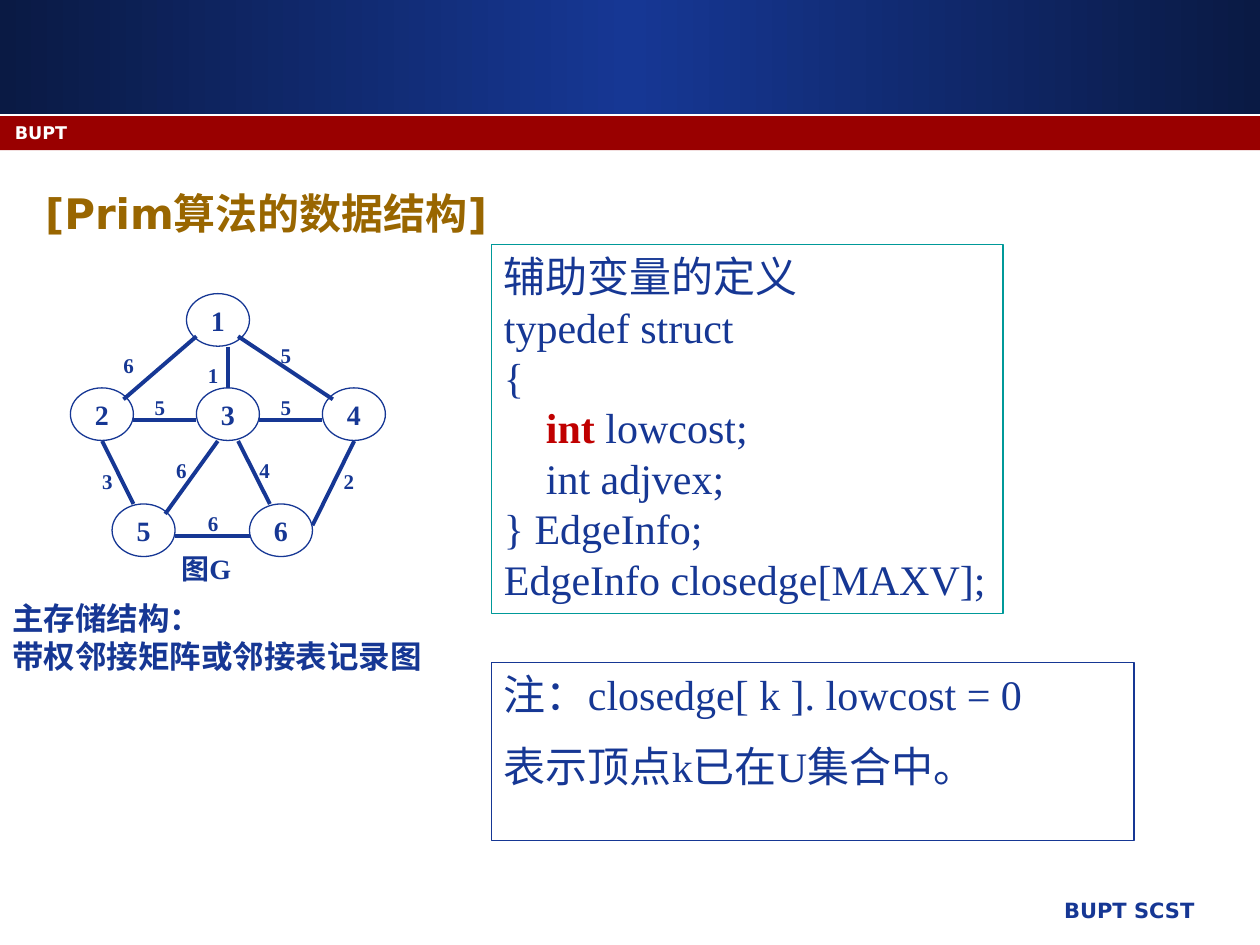
from copy import deepcopy
from lxml.etree import SubElement
from pptx import Presentation
from pptx.dml.color import RGBColor
from pptx.enum.shapes import MSO_CONNECTOR as LINK, MSO_SHAPE as FORM
from pptx.enum.text import MSO_ANCHOR as ANCHOR, PP_ALIGN as ALIGN
from pptx.oxml.ns import qn
from pptx.util import Cm, Pt

NAVY, RED, WHITE = "163794", "990000", "FFFFFF"
SANS, SERIF = "DejaVu Sans", "Times New Roman"


def hue(code):
    return RGBColor.from_string(code)


def write(shape, lines, look, ink=NAVY, align=ALIGN.LEFT, wrap=True, gap=0):
    """Fill a shape; a line is a string or a list of (text, ink, bold) runs."""
    frame = shape.text_frame
    frame.word_wrap = wrap
    for i, line in enumerate(lines):
        para = frame.paragraphs[0] if i == 0 else frame.add_paragraph()
        para.alignment = align
        if i and gap:
            para.space_before = Pt(gap)
        runs = [(line, ink, look["bold"])] if isinstance(line, str) else line
        for text, tint, bold in runs:
            run = para.add_run()
            run.text = text
            for key, value in (look | {"bold": bold}).items():
                setattr(run.font, key, value)
            run.font.color.rgb = hue(tint)
    return frame


deck = Presentation()
deck.slide_width, deck.slide_height = Cm(25.4), Cm(19.05)
shapes = deck.slides.add_slide(deck.slide_layouts[6]).shapes

# Header bands
band = shapes.add_shape(FORM.RECTANGLE, 0, 0, Cm(25.4), Cm(2.31))
band.fill.gradient()
band.fill.gradient_angle = 0
stops = band._element.spPr.find(qn("a:gradFill")).find(qn("a:gsLst"))
stops.insert(1, deepcopy(stops[0]))
for stop, (spot, tint) in zip(band.fill.gradient_stops,
                              [(0, "0A1A44"), (0.5, NAVY), (1, "0A1A44")]):
    stop.position = spot
    stop.color.rgb = hue(tint)
strip = shapes.add_shape(FORM.RECTANGLE, 0, Cm(2.34), Cm(25.4), Cm(0.69))
strip.fill.solid()
strip.fill.fore_color.rgb = hue(RED)
for bar in (band, strip):
    bar.shadow.inherit = False
    bar.line.fill.background()

# Plain texts: place, lines, font, size, ink, alignment, wrap, left inset
texts = [
    ((10.69, 17.96, 13.64, 0.89), ["BUPT SCST"], SANS, 12, NAVY, ALIGN.RIGHT, True, 0.25),
    ((0.05, 2.34, 23.5, 0.64), ["BUPT"], SANS, 10, WHITE, ALIGN.LEFT, True, 0.25),
    ((0.66, 3.66, 9.7, 1.27), ["[Prim算法的数据结构]"], SANS, 24, "996600",
     ALIGN.LEFT, True, 0.25),
    ((2.9, 11, 3.38, 0.94), ["图G"], SERIF, 16, NAVY, ALIGN.LEFT, True, 0.76),
    ((0, 11.96, 8.84, 1.8), ["主存储结构：", "带权邻接矩阵或邻接表记录图"], SERIF, 18, NAVY,
     ALIGN.LEFT, False, 0.25),
]
for place, lines, font, size, ink, align, wrap, inset in texts:
    box = shapes.add_textbox(*map(Cm, place))
    look = {"name": font, "size": Pt(size), "bold": True}
    write(box, lines, look, ink, align, wrap).margin_left = Cm(inset)

# Graph G: nodes, edges and weights
nodes = [(3.76, 5.92), (1.42, 7.82), (3.96, 7.82), (6.5, 7.82), (2.26, 10.16), (5.03, 10.16)]
look = {"name": SERIF, "size": Pt(16), "bold": True}
for num, (x, y) in enumerate(nodes, 1):
    node = shapes.add_shape(FORM.OVAL, Cm(x), Cm(y), Cm(1.27), Cm(1.06))
    node.shadow.inherit = False
    node.fill.solid()
    node.fill.fore_color.rgb = hue(WHITE)
    node.line.color.rgb = hue(NAVY)
    node.line.width = Pt(0.75)
    write(node, [str(num)], look, align=ALIGN.CENTER, wrap=False).vertical_anchor = ANCHOR.MIDDLE

# Each edge: its ends, its weight, and the corner of the weight's box
edges = [
    ((2.49, 8.05, 3.96, 6.78), 6, (2.06, 6.99)),
    ((4.6, 6.99, 4.6, 7.82), 1, (3.76, 7.19)),
    ((6.71, 8.05, 4.8, 6.78), 5, (5.23, 6.78)),
    ((2.69, 8.46, 3.96, 8.46), 5, (2.69, 7.82)),
    ((5.23, 8.46, 6.5, 8.46), 5, (5.23, 7.82)),
    ((2.06, 8.89, 2.69, 10.16), 3, (1.63, 9.32)),
    ((3.33, 10.36, 4.39, 8.89), 6, (3.12, 9.09)),
    ((4.8, 8.89, 5.44, 10.16), 4, (4.8, 9.09)),
    ((6.3, 10.59, 7.14, 8.89), 2, (6.5, 9.32)),
    ((3.53, 10.8, 5.03, 10.8), 6, (3.76, 10.16)),
]
look = {"name": SERIF, "size": Pt(12), "bold": True}
for ends, cost, (x, y) in edges:
    edge = shapes.add_connector(LINK.STRAIGHT, *map(Cm, ends))
    edge.line.color.rgb = hue(NAVY)
    edge.line.width = Pt(2.25)
    SubElement(edge._element.spPr, qn("a:effectLst"))
    tag = shapes.add_textbox(Cm(x), Cm(y), Cm(1.07), Cm(0.76))
    write(tag, [str(cost)], look, align=ALIGN.CENTER)

# Framed code and note
code = [
    "辅助变量的定义", "typedef struct", "{",
    [("    ", NAVY, False), ("int ", "C00000", True), ("lowcost;", NAVY, False)],
    "    int adjvex;", "} EdgeInfo;", "EdgeInfo closedge[MAXV];",
]
note = ["注：closedge[ k ]. lowcost = 0", "表示顶点k已在U集合中。"]
look = {"name": SERIF, "size": Pt(24), "bold": False}
for y, wide, high, lines, tint, wrap, gap in [
    (13.36, 12.95, 3.58, note, NAVY, True, 12),
    (4.93, 10.31, 7.44, code, "009999", False, 0),
]:
    panel = shapes.add_shape(FORM.RECTANGLE, Cm(9.91), Cm(y), Cm(wide), Cm(high))
    panel.shadow.inherit = False
    panel.fill.background()
    panel.line.color.rgb = hue(tint)
    panel.line.width = Pt(0.75)
    write(panel, lines, look, wrap=wrap, gap=gap).vertical_anchor = ANCHOR.TOP

deck.save("out.pptx")
